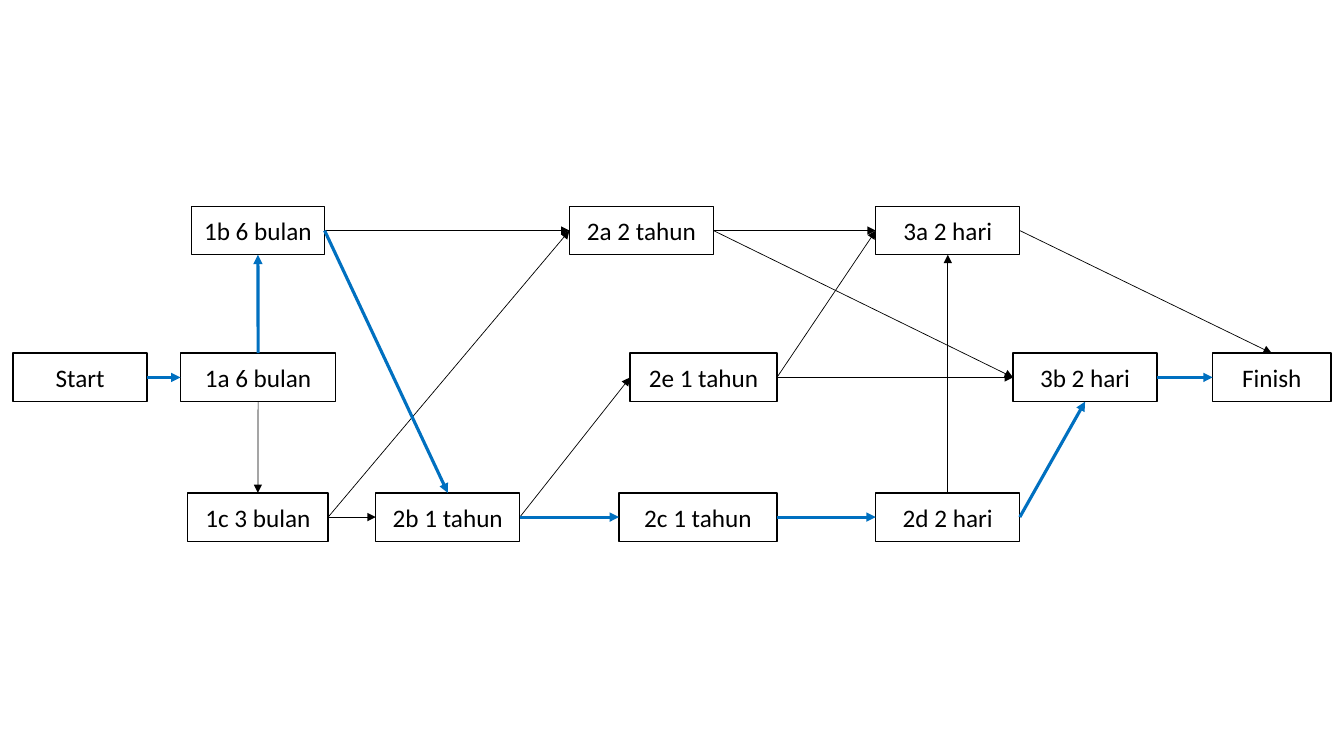
from lxml.etree import SubElement
from pptx import Presentation
from pptx.dml.color import RGBColor
from pptx.enum.shapes import MSO_CONNECTOR, MSO_SHAPE
from pptx.enum.text import MSO_ANCHOR, PP_ALIGN
from pptx.oxml.ns import qn
from pptx.util import Cm, Pt

COLORS = {"ink": "000000", "critical": "0070C0"}
FONT = "Calibri"
BLANK_LAYOUT = 6
TASK_HEIGHT = 1.22
ROW_TOPS = {"upper": 5.2, "middle": 8.9, "lower": 12.42}

# Connection sites of a rectangle
TOP, LEFT, BOTTOM, RIGHT = range(4)

# key: (label, row, left in cm, width in cm)
TASKS = {
    "start": ("Start", "middle", 0.33, 3.38),
    "1a": ("1a 6 bulan", "middle", 4.55, 3.91),
    "1b": ("1b 6 bulan", "upper", 4.82, 3.36),
    "1c": ("1c 3 bulan", "lower", 4.73, 3.54),
    "2a": ("2a 2 tahun", "upper", 14.35, 3.63),
    "2b": ("2b 1 tahun", "lower", 9.47, 3.63),
    "2c": ("2c 1 tahun", "lower", 15.6, 3.98),
    "2d": ("2d 2 hari", "lower", 22.07, 3.63),
    "2e": ("2e 1 tahun", "middle", 15.88, 3.7),
    "3a": ("3a 2 hari", "upper", 22.07, 3.63),
    "3b": ("3b 2 hari", "middle", 25.53, 3.63),
    "finish": ("Finish", "middle", 30.56, 2.98),
}

CRITICAL_PATH = [
    ("start", RIGHT, "1a", LEFT),
    ("1a", TOP, "1b", BOTTOM),
    ("1b", RIGHT, "2b", TOP),
    ("2b", RIGHT, "2c", LEFT),
    ("2c", RIGHT, "2d", LEFT),
    ("2d", RIGHT, "3b", BOTTOM),
    ("3b", RIGHT, "finish", LEFT),
]
OTHER_LINKS = [
    ("1a", BOTTOM, "1c", TOP),
    ("1b", RIGHT, "2a", LEFT),
    ("1c", RIGHT, "2a", LEFT),
    ("1c", RIGHT, "2b", LEFT),
    ("2b", RIGHT, "2e", LEFT),
    ("2a", RIGHT, "3a", LEFT),
    ("2e", RIGHT, "3a", LEFT),
    ("2d", TOP, "3a", BOTTOM),
    ("2a", RIGHT, "3b", LEFT),
    ("2e", RIGHT, "3b", LEFT),
    ("3a", RIGHT, "finish", TOP),
]


def color(name):
    return RGBColor.from_string(COLORS[name])


def add_task(slide, label, row, left, width):
    task = slide.shapes.add_shape(
        MSO_SHAPE.RECTANGLE, Cm(left), Cm(ROW_TOPS[row]), Cm(width), Cm(TASK_HEIGHT))
    task.shadow.inherit = False
    task.fill.background()
    task.line.color.rgb = color("ink")
    task.line.width = Pt(1)
    frame = task.text_frame
    frame.text = label
    frame.word_wrap = True
    frame.vertical_anchor = MSO_ANCHOR.MIDDLE
    paragraph = frame.paragraphs[0]
    paragraph.alignment = PP_ALIGN.CENTER
    font = paragraph.runs[0].font
    font.name = FONT
    font.size = Pt(18)
    font.color.rgb = color("ink")
    return task


def add_arrow(slide, source, source_site, target, target_site, color_name, weight):
    arrow = slide.shapes.add_connector(MSO_CONNECTOR.STRAIGHT, 0, 0, 0, 0)
    arrow.begin_connect(source, source_site)
    arrow.end_connect(target, target_site)
    arrow.line.color.rgb = color(color_name)
    arrow.line.width = Pt(weight)
    properties = arrow.element.spPr
    SubElement(properties.find(qn("a:ln")), qn("a:tailEnd"), type="triangle")
    SubElement(properties, qn("a:effectLst"))


def main():
    presentation = Presentation()
    presentation.slide_width = Cm(33.87)
    presentation.slide_height = Cm(19.05)
    slide = presentation.slides.add_slide(presentation.slide_layouts[BLANK_LAYOUT])

    tasks = {key: add_task(slide, *details) for key, details in TASKS.items()}
    for links, color_name, weight in (
            (OTHER_LINKS, "ink", 0.5), (CRITICAL_PATH, "critical", 2.25)):
        for source, source_site, target, target_site in links:
            add_arrow(slide, tasks[source], source_site,
                      tasks[target], target_site, color_name, weight)

    presentation.save("out.pptx")


if __name__ == "__main__":
    main()
